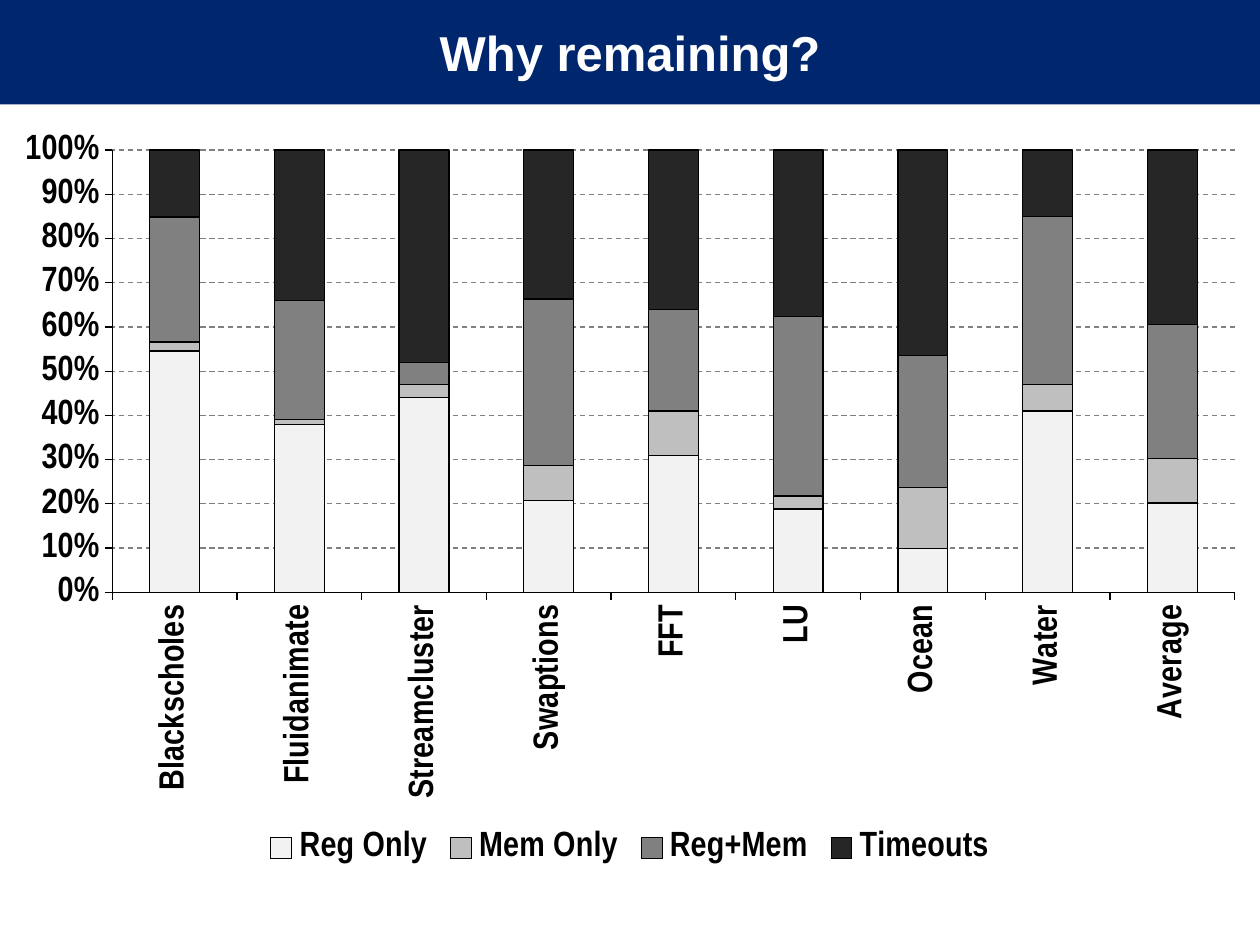
from lxml import etree
from pptx import Presentation
from pptx.chart.data import CategoryChartData
from pptx.dml.color import RGBColor
from pptx.enum.chart import XL_CHART_TYPE, XL_LEGEND_POSITION, XL_TICK_MARK
from pptx.enum.dml import MSO_LINE
from pptx.enum.shapes import MSO_SHAPE
from pptx.enum.text import MSO_ANCHOR, PP_ALIGN
from pptx.oxml.ns import qn
from pptx.util import Inches, Pt

STACKED = XL_CHART_TYPE.COLUMN_STACKED_100
BOTTOM = XL_LEGEND_POSITION.BOTTOM
OUTSIDE, NO_TICK = XL_TICK_MARK.OUTSIDE, XL_TICK_MARK.NONE
DASH = MSO_LINE.DASH
RECT = MSO_SHAPE.RECTANGLE
MIDDLE, CENTER = MSO_ANCHOR.MIDDLE, PP_ALIGN.CENTER

BENCHMARKS = ["Blackscholes", "Fluidanimate", "Streamcluster", "Swaptions",
              "FFT", "LU", "Ocean", "Water", "Average"]
CAUSES = [
    ("Reg Only", "F2F2F2", [54, 38, 44, 21, 31, 19, 10, 41, 20]),
    ("Mem Only", "BFBFBF", [2, 1, 3, 8, 10, 3, 14, 6, 10]),
    ("Reg+Mem", "808080", [28, 27, 5, 38, 23, 41, 30, 38, 30]),
    ("Timeouts", "262626", [15, 34, 48, 34, 36, 38, 47, 15, 39]),
]


def rgb(value):
    return RGBColor.from_string(value)


class SlideBuilder:
    navy, white, black, grid = "00266E", "FFFFFF", "000000", "808080"
    title_font, chart_font = "Arial", "Arial Narrow"

    def __init__(self, prs):
        self.s = prs.slides.add_slide(prs.slide_layouts[5])

    def font(self, font, name, size, color):
        font.name, font.size, font.bold = name, Pt(size), True
        font.color.rgb = rgb(color)

    def line(self, line, color):
        line.color.rgb = rgb(color)
        line.width = Pt(0.75)

    def band(self, x, y, w, h):
        """Add a filled bar behind everything else."""
        sp = self.s.shapes.add_shape(RECT, Inches(x), Inches(y), Inches(w), Inches(h))
        sp.shadow.inherit = False
        sp.fill.solid()
        sp.fill.fore_color.rgb = rgb(self.navy)
        sp.line.fill.background()
        self.s.shapes._spTree.insert(2, sp._element)

    def title(self, text, x, y, w, h):
        sp = self.s.shapes.title
        sp.left, sp.top, sp.width, sp.height = (Inches(v) for v in (x, y, w, h))
        tf = sp.text_frame
        tf.text = text
        tf.vertical_anchor = MIDDLE
        p = tf.paragraphs[0]
        p.alignment = CENTER
        self.font(p.font, self.title_font, 28, self.white)

    def plot_layout(self, chart, **box):
        """Fix the inner plot area, in fractions of the chart."""
        area = chart._chartSpace.find(".//" + qn("c:plotArea"))
        for old in area.findall(qn("c:layout")):
            area.remove(old)
        layout = etree.Element(qn("c:layout"))
        manual = etree.SubElement(layout, qn("c:manualLayout"))
        settings = {"layoutTarget": "inner", "xMode": "edge", "yMode": "edge", **box}
        for tag, value in settings.items():
            etree.SubElement(manual, qn("c:" + tag)).set("val", str(value))
        area.insert(0, layout)

    def stacked_chart(self, categories, series, x, y, w, h):
        data = CategoryChartData(number_format="#,##0")
        data.categories = categories
        for name, _, values in series:
            data.add_series(name, values)
        chart = self.s.shapes.add_chart(
            STACKED, Inches(x), Inches(y), Inches(w), Inches(h), data).chart
        chart.has_title = False
        self.font(chart.font, self.chart_font, 20, self.black)

        plot = chart.plots[0]
        plot.gap_width, plot.overlap, plot.vary_by_categories = 150, 100, False
        for ser, (_, color, _) in zip(plot.series, series):
            ser.format.fill.solid()
            ser.format.fill.fore_color.rgb = rgb(color)
            self.line(ser.format.line, self.black)

        for axis in (chart.category_axis, chart.value_axis):
            axis.major_tick_mark, axis.minor_tick_mark = OUTSIDE, NO_TICK
            self.line(axis.format.line, self.black)
            self.font(axis.tick_labels.font, self.chart_font, 20, self.black)
        body = chart.category_axis._element.find(".//" + qn("a:bodyPr"))
        body.set("rot", "-5400000")
        body.set("vert", "horz")

        axis = chart.value_axis
        axis.minimum_scale, axis.maximum_scale, axis.major_unit = 0, 1, 0.1
        axis.tick_labels.number_format = "0%"
        axis.tick_labels.number_format_is_linked = False
        axis.has_major_gridlines = True
        self.line(axis.major_gridlines.format.line, self.grid)
        axis.major_gridlines.format.line.dash_style = DASH

        chart.has_legend = True
        chart.legend.position = BOTTOM
        chart.legend.include_in_layout = False
        self.font(chart.legend.font, self.chart_font, 20, self.black)
        self.plot_layout(chart, x=0.089, y=0.042, w=0.891, h=0.587)


def main():
    prs = Presentation()
    prs.slide_width, prs.slide_height = Inches(10), Inches(7.5)
    slide = SlideBuilder(prs)
    header = (0, 0, 10, 0.83)
    slide.band(*header)
    slide.title("Why remaining?", *header)
    slide.stacked_chart(BENCHMARKS, CAUSES, 0, 0.94, 10, 5.98)
    prs.save("out.pptx")


if __name__ == "__main__":
    main()
